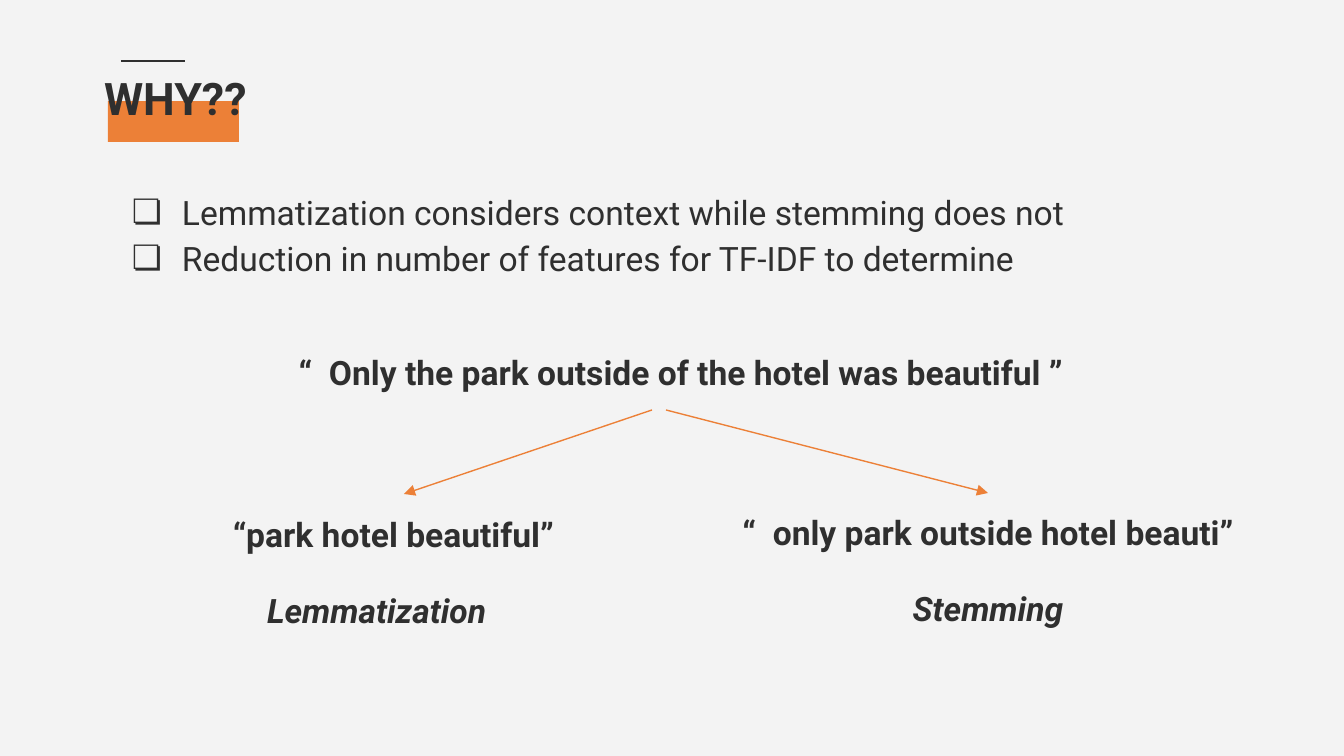
import pptx
import pptx.dml.color
import pptx.enum.shapes
import pptx.enum.text
import pptx.oxml.ns
import pptx.util
from lxml import etree

EMU_PER_PX = 914400 / 134.4
FONT = "Roboto"
PAPER = pptx.dml.color.RGBColor(0xF3, 0xF3, 0xF3)
INK = pptx.dml.color.RGBColor(0x2F, 0x2F, 0x2F)
ORANGE = pptx.dml.color.RGBColor(0xEC, 0x80, 0x37)
LEFT = pptx.enum.text.PP_ALIGN.LEFT
CENTER = pptx.enum.text.PP_ALIGN.CENTER
INSET = 13
INDENT = 67
BULLET_HANG = 50


def px(length):
    return pptx.util.Emu(round(length * EMU_PER_PX))


def add_child(parent, tag, **attributes):
    return etree.SubElement(parent, pptx.oxml.ns.qn(tag), **attributes)


def add_text(slide, box, lines, size=18, bold=False, align=LEFT, spacing=1.15):
    """Add a text box with one paragraph per line and return its paragraphs."""
    frame = slide.shapes.add_textbox(*map(px, box)).text_frame
    frame.word_wrap = True
    frame.margin_left = frame.margin_right = px(INSET)
    frame.margin_top = frame.margin_bottom = px(INSET)
    frame.text = "\n".join(lines)
    for paragraph in frame.paragraphs:
        paragraph.alignment = align
        paragraph.line_spacing = spacing
        for run in paragraph.runs:
            run.font.name = FONT
            run.font.size = pptx.util.Pt(size)
            run.font.bold = bold
            run.font.color.rgb = INK
    return frame.paragraphs


def indent(paragraph, left, first=0):
    properties = paragraph._p.get_or_add_pPr()
    properties.set("marL", str(px(left)))
    properties.set("indent", str(px(first)))


def add_bullet(paragraph):
    indent(paragraph, INDENT, -BULLET_HANG)
    properties = paragraph._p.get_or_add_pPr()
    color = add_child(properties, "a:buClr")
    add_child(color, "a:srgbClr", val=str(INK))
    add_child(properties, "a:buFont", typeface=FONT)
    add_child(properties, "a:buChar", char="❏")


def add_line(slide, start, end, color, width, arrow=False):
    line = slide.shapes.add_connector(
        pptx.enum.shapes.MSO_CONNECTOR.STRAIGHT, *map(px, start + end))
    line.line.color.rgb = color
    line.line.width = pptx.util.Pt(width)
    if arrow:
        add_child(line.line._get_or_add_ln(), "a:tailEnd", type="triangle")
    add_child(line._element.spPr, "a:effectLst")


def add_heading(slide):
    block = slide.shapes.add_shape(
        pptx.enum.shapes.MSO_SHAPE.RECTANGLE, *map(px, (108, 101, 131, 41)))
    block.shadow.inherit = False
    block.fill.solid()
    block.fill.fore_color.rgb = ORANGE
    block.line.fill.background()
    add_line(slide, (121, 61), (185, 61), INK, 1.5)
    add_text(slide, (91, 58, 758, 77), ["WHY??"], size=24, bold=True, spacing=1.0)


def add_result(slide, box, result, method, align):
    """Add a processed sentence with the name of its method below."""
    paragraphs = add_text(slide, box, [result, method], bold=True, align=align)
    paragraphs[1].space_before = pptx.util.Pt(16)
    paragraphs[1].runs[0].font.italic = True
    return paragraphs


def main():
    presentation = pptx.Presentation()
    presentation.slide_width = px(1344)
    presentation.slide_height = px(756)
    slide = presentation.slides.add_slide(presentation.slide_layouts[6])
    slide.background.fill.solid()
    slide.background.fill.fore_color.rgb = PAPER

    add_heading(slide)
    reasons = add_text(slide, (102, 173, 1141, 176), [
        "Lemmatization considers context while stemming does not",
        "Reduction in number of features for TF-IDF to determine",
    ])
    for reason in reasons:
        add_bullet(reason)

    sentence = add_text(slide, (77, 333, 1141, 176),
                        ["“  Only the park outside of the hotel was beautiful ”"],
                        bold=True, align=CENTER)
    indent(sentence[0], INDENT)

    lemmatized, lemmatization = add_result(
        slide, (153, 495, 501, 103), "“park hotel beautiful”", "Lemmatization", LEFT)
    indent(lemmatized, INDENT)
    indent(lemmatization, INDENT + 34)
    add_result(slide, (724, 493, 528, 106),
               "“  only park outside hotel beauti”", "Stemming", CENTER)

    add_line(slide, (652, 410), (404, 494), ORANGE, 0.75, arrow=True)
    add_line(slide, (666, 410), (988, 493), ORANGE, 0.75, arrow=True)

    presentation.save("out.pptx")


if __name__ == "__main__":
    main()
